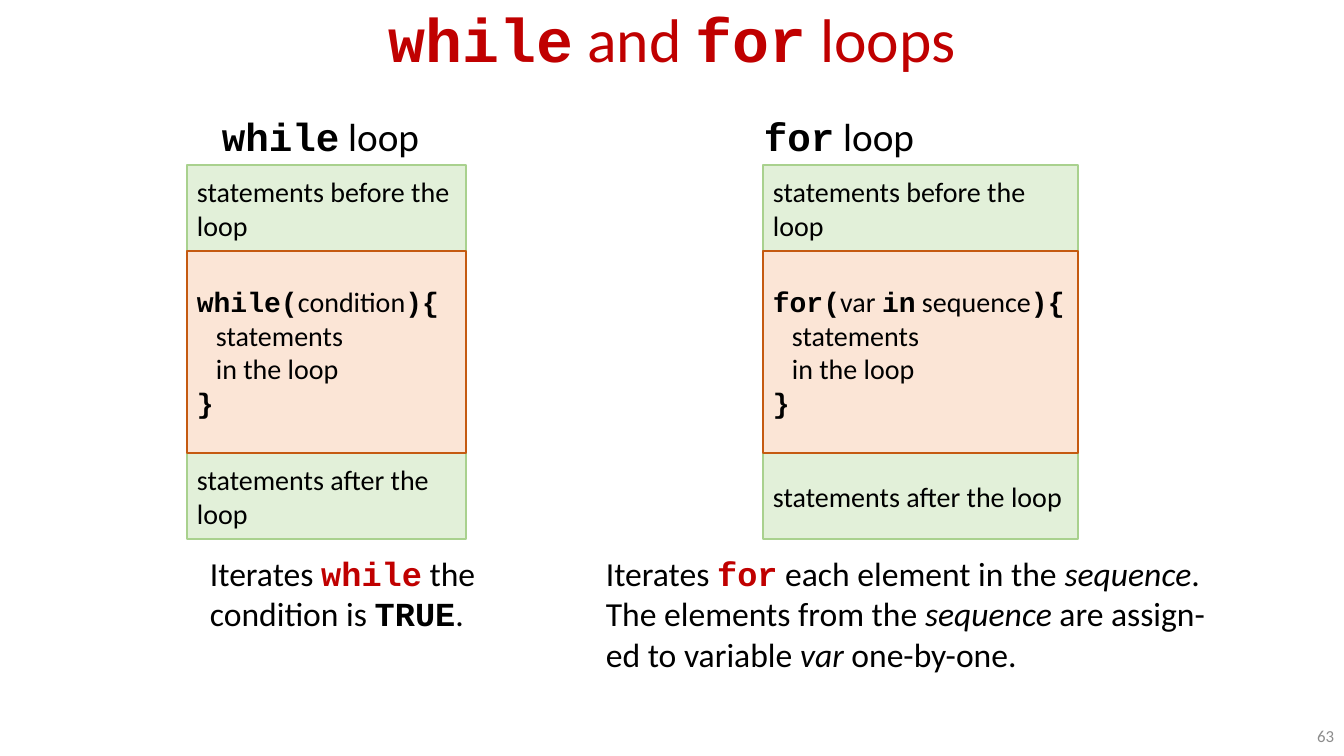
from pptx import Presentation
from pptx.dml.color import RGBColor
from pptx.enum.shapes import MSO_SHAPE as Shape
from pptx.enum.text import MSO_ANCHOR as Anchor, MSO_AUTO_SIZE as Auto, PP_ALIGN as Align
from pptx.util import Emu, Pt

WIDE, HIGH = 1344, 756
SCALE = 12192000 / WIDE

BLACK = RGBColor(0x00, 0x00, 0x00)
RED = RGBColor(0xC0, 0x00, 0x00)
GRAY = RGBColor(0x8C, 0x8C, 0x8C)
GREEN = RGBColor(0xE2, 0xF0, 0xD9)
LEAF = RGBColor(0xA9, 0xD1, 0x8E)
PEACH = RGBColor(0xFB, 0xE5, 0xD6)
RUST = RGBColor(0xC5, 0x5A, 0x11)

TEXT, CODE, KEY, SLANT = "text", "code", "key", "slant"
INDENT = 19


def px(n):
    return Emu(round(n * SCALE))


def write(frame, lines, size, ink=BLACK, align=Align.LEFT):
    """Fill a frame with lines, each a list of (words, kind) runs."""
    for i, line in enumerate(lines):
        par = frame.add_paragraph() if i else frame.paragraphs[0]
        par.alignment = align
        for words, kind in line:
            run = par.add_run()
            run.text = words
            font = run.font
            font.size = Pt(size)
            font.bold = kind in (CODE, KEY)
            font.italic = kind == SLANT
            font.name = "Courier New" if font.bold else "Calibri"
            font.color.rgb = RED if kind == KEY else ink


def label(slide, box, lines, size, wrap=True, grow=True, anchor=Anchor.TOP, **look):
    frame = slide.shapes.add_textbox(*map(px, box)).text_frame
    frame.word_wrap = wrap
    frame.auto_size = Auto.SHAPE_TO_FIT_TEXT if grow else Auto.NONE
    frame.vertical_anchor = anchor
    write(frame, lines, size, **look)
    return frame


def block(group, box, lines, fill, edge):
    shape = group.shapes.add_shape(Shape.FLOWCHART_PROCESS, *map(px, box))
    shape.shadow.inherit = False
    shape.fill.solid()
    shape.fill.fore_color.rgb = fill
    shape.line.color.rgb = edge
    shape.line.width = Pt(1)
    frame = shape.text_frame
    frame.word_wrap = True
    frame.vertical_anchor = Anchor.MIDDLE
    write(frame, lines, 20)
    return frame


def flow(slide, box, head):
    """Stack the loop between the statements before and after it."""
    x, y, w, h = box
    end = 86
    mid = h - 2 * end
    group = slide.shapes.add_group_shape()
    for when, top in (("before", y), ("after", y + end + mid)):
        words = f"statements {when} the loop"
        block(group, (x, top, w, end), [[(words, TEXT)]], GREEN, LEAF)
    body = [[("statements", TEXT)], [("in the loop", TEXT)]]
    frame = block(group, (x, y + end, w, mid),
                  [head, *body, [("}", CODE)]], PEACH, RUST)
    for par in frame.paragraphs[1:3]:
        par._p.get_or_add_pPr().set("marL", str(px(INDENT)))


def title(slide, box):
    frame = label(slide, box,
                  [[("while", CODE), (" and ", TEXT), ("for", CODE), (" loops", TEXT)]],
                  44, grow=False, anchor=Anchor.BOTTOM, ink=RED, align=Align.CENTER)
    frame.paragraphs[0].line_spacing = 0.9


def loop(slide, name, tag, chart, note, head, lines):
    """Place one loop's name, flow chart and note."""
    label(slide, tag, [[(name, CODE), (" loop", TEXT)]], 28, wrap=False)
    flow(slide, chart, head)
    label(slide, note, lines, 24)


def main():
    prs = Presentation()
    prs.slide_width, prs.slide_height = px(WIDE), px(HIGH)
    slide = prs.slides.add_slide(prs.slide_layouts[6])

    title(slide, (0, 0, WIDE, 81))
    loop(slide, "while", (212, 107, 220, 57), (187, 165, 279, 374), (200, 548, 306, 92),
         [("while(", CODE), ("condition", TEXT), ("){", CODE)],
         [[("Iterates ", TEXT), ("while", KEY), (" the", TEXT)],
          [("condition is ", TEXT), ("TRUE", CODE), (".", TEXT)]])
    loop(slide, "for", (754, 107, 172, 57), (763, 165, 315, 374), (596, 548, 634, 132),
         [("for(", CODE), ("var ", TEXT), ("in", CODE), (" sequence", TEXT), ("){", CODE)],
         [[("Iterates ", TEXT), ("for", KEY), (" each element in the ", TEXT),
           ("sequence", SLANT), (". The elements from the ", TEXT),
           ("sequence", SLANT), (" are assign-ed to variable ", TEXT),
           ("var", SLANT), (" one-by-one.", TEXT)]])
    label(slide, (1231, 716, 113, 40), [[("63", TEXT)]], 12, grow=False,
          anchor=Anchor.MIDDLE, ink=GRAY, align=Align.RIGHT)
    prs.save("out.pptx")


if __name__ == "__main__":
    main()
